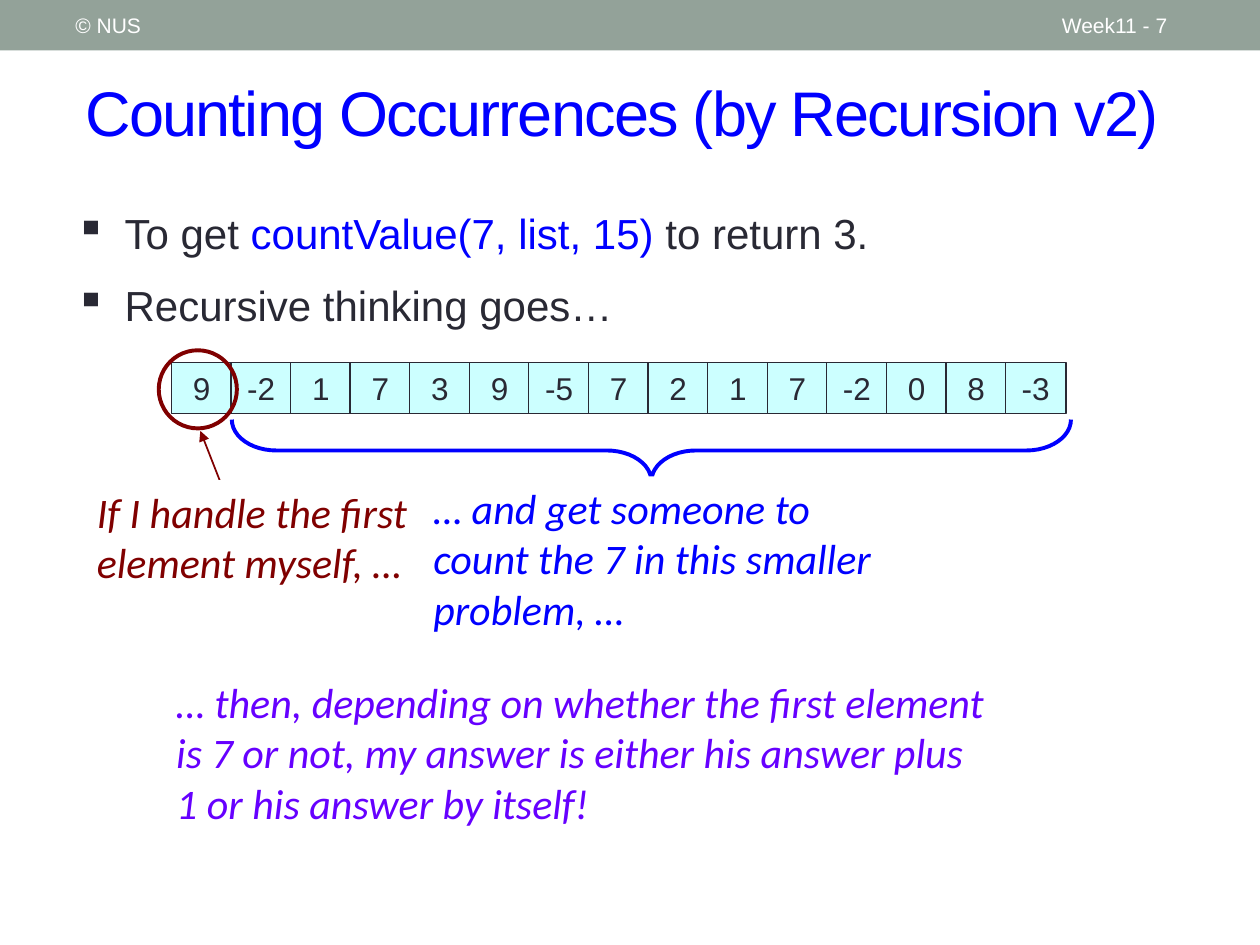
from dataclasses import dataclass

from lxml import etree
from pptx import Presentation
from pptx.dml.color import RGBColor
from pptx.enum.shapes import MSO_CONNECTOR, MSO_SHAPE
from pptx.enum.text import MSO_ANCHOR, PP_ALIGN
from pptx.oxml.ns import qn
from pptx.util import Inches, Pt

RECTANGLE, OVAL, BRACE = MSO_SHAPE.RECTANGLE, MSO_SHAPE.OVAL, MSO_SHAPE.LEFT_BRACE
STRAIGHT = MSO_CONNECTOR.STRAIGHT
TOP, MIDDLE = MSO_ANCHOR.TOP, MSO_ANCHOR.MIDDLE
LEFT, CENTER = PP_ALIGN.LEFT, PP_ALIGN.CENTER
COLUMNS, ROWS = 100, 75
WIDTH, HEIGHT = Inches(10), Inches(7.5)
VALUES = [9, -2, 1, 7, 3, 9, -5, 7, 2, 1, 7, -2, 0, 8, -3]


@dataclass(frozen=True)
class Theme:
    """Colours, fonts and sizes of the slide."""
    band: str = "93A299"
    paper: str = "FFFFFF"
    ink: str = "292934"
    blue: str = "0000FF"
    maroon: str = "800000"
    violet: str = "6600FF"
    cell: str = "CCFFFF"
    sans: str = "Arial"
    hand: str = "Calibri"
    title: int = 36
    body: int = 24
    value: int = 18
    small: int = 12
    thin: float = 0.75
    arrow: float = 1
    thick: float = 2.25


THEME = Theme()


@dataclass(frozen=True)
class Box:
    """A region measured in grid columns and rows."""
    left: float
    top: float
    width: float
    height: float

    def within(self, left, top, width, height):
        """Return a box offset from this one's corner."""
        return Box(self.left + left, self.top + top, width, height)

    def place(self):
        """Return left, top, width and height as slide lengths."""
        across, down = WIDTH / COLUMNS, HEIGHT / ROWS
        return (round(self.left * across), round(self.top * down),
                round(self.width * across), round(self.height * down))


def add_outline(slide, box, kind, fill=None, line=None, weight=THEME.thin):
    """Add a preset shape with the given fill and line."""
    shape = slide.shapes.add_shape(kind, *box.place())
    shape.shadow.inherit = False
    if fill:
        shape.fill.solid()
        shape.fill.fore_color.rgb = RGBColor.from_string(fill)
    else:
        shape.fill.background()
    if line:
        shape.line.color.rgb = RGBColor.from_string(line)
        shape.line.width = Pt(weight)
    else:
        shape.line.fill.background()
    return shape


def write(frame, paragraphs, *, size, color, font=THEME.sans, italic=False, align=LEFT,
          anchor=TOP, wrap=True, bullet=None, gap=0, spacing=None):
    """Fill a frame with paragraphs, each a list of (text, colour or None) runs."""
    frame.word_wrap = wrap
    frame.vertical_anchor = anchor
    for index, pieces in enumerate(paragraphs):
        paragraph = frame.add_paragraph() if index else frame.paragraphs[0]
        paragraph.alignment = align
        if index:
            paragraph.space_before = Pt(gap)
        if bullet:
            properties = paragraph._p.get_or_add_pPr()
            properties.set("marL", str(Inches(0.39)))
            properties.set("indent", str(-Inches(0.39)))
            etree.SubElement(properties, qn("a:buChar"), char=bullet)
        for text, accent in pieces:
            run = paragraph.add_run()
            run.text = text
            run.font.name, run.font.size, run.font.italic = font, Pt(size), italic
            run.font.color.rgb = RGBColor.from_string(accent or color)
            if spacing:
                run._r.get_or_add_rPr().set("spc", str(spacing))


def add_text(slide, box, paragraphs, **style):
    """Add a text box and write into it."""
    write(slide.shapes.add_textbox(*box.place()).text_frame, paragraphs, **style)


def add_remark(slide, box, text, color):
    """Add an italic remark on a white panel."""
    panel = add_outline(slide, box, RECTANGLE, fill=THEME.paper)
    write(panel.text_frame, [[(text, None)]], size=THEME.body, color=color,
          font=THEME.hand, italic=True)


def add_arrow(slide, start, end, color):
    """Add a straight arrow between two grid points."""
    begin, finish = (Box(*point, 0, 0).place()[:2] for point in (start, end))
    arrow = slide.shapes.add_connector(STRAIGHT, *begin, *finish)
    arrow.line.color.rgb = RGBColor.from_string(color)
    arrow.line.width = Pt(THEME.arrow)
    etree.SubElement(arrow.line._get_or_add_ln(), qn("a:tailEnd"), type="triangle")
    etree.SubElement(arrow._element.spPr, qn("a:effectLst"))


def add_header(slide, box):
    """Draw the top band with the copyright and page labels."""
    add_outline(slide, box, RECTANGLE, fill=THEME.band)
    for text, left, width in (("Week11 - 7", 83.3, 11.7), ("© NUS", 5, 31.7)):
        add_text(slide, box.within(left, 0.2, width, 3.6), [[(text, None)]],
                 size=THEME.small, color=THEME.paper, anchor=MIDDLE)


def add_title(slide, box):
    """Write the slide title."""
    add_text(slide, box, [[("Counting Occurrences (by Recursion v2)", None)]],
             size=THEME.title, color=THEME.blue, anchor=MIDDLE, spacing=-100)


def add_goals(slide, box):
    """Write the bulleted goal and lead-in."""
    goals = [
        [("To get ", None), ("countValue(7, list, 15)", THEME.blue), (" to return 3.", None)],
        [("Recursive thinking goes…", None)],
    ]
    add_text(slide, box, goals, size=THEME.body, color=THEME.ink, bullet="▪", gap=12)


def add_list(slide, box):
    """Draw the list values as a row of cells."""
    cell_width = 4.8
    step = (box.width - cell_width) / (len(VALUES) - 1)
    for index, value in enumerate(VALUES):
        cell = add_outline(slide, box.within(index * step, 0, cell_width, box.height),
                           RECTANGLE, fill=THEME.cell, line=THEME.ink)
        write(cell.text_frame, [[(str(value), None)]], size=THEME.value, color=THEME.ink,
              align=CENTER, anchor=MIDDLE, wrap=False)


def add_first_element(slide, box):
    """Circle the first element and explain who handles it."""
    add_arrow(slide, (box.left + 11.2, box.top + 11.5), (box.left + 9.2, box.top + 6.4),
              THEME.maroon)
    add_remark(slide, box.within(0, 10.3, box.width, 9.1),
               "If I handle the first element myself, …", THEME.maroon)
    add_outline(slide, box.within(5.9, 0, 6.2, 6.2), OVAL, line=THEME.maroon,
                weight=THEME.thick)


def add_smaller_problem(slide, box):
    """Brace the remaining elements and explain who counts them."""
    depth = 4.9
    brace = add_outline(slide, box.within((box.width - depth) / 2, (depth - box.width) / 2,
                                          depth, box.width),
                        BRACE, line=THEME.blue, weight=THEME.thick)
    brace.rotation = 270
    brace.adjustments[0], brace.adjustments[1] = 0.72, 0.5
    add_remark(slide, box.within(15, 4.5, 39.2, 13.1),
               "… and get someone to count the 7 in this smaller problem, …", THEME.blue)


def add_conclusion(slide, box):
    """State how the two answers combine."""
    add_remark(slide, box, "… then, depending on whether the first element is 7 or not, "
               "my answer is either his answer plus 1 or his answer by itself!", THEME.violet)


def main():
    """Build the slide and save it."""
    deck = Presentation()
    deck.slide_width, deck.slide_height = WIDTH, HEIGHT
    slide = deck.slides.add_slide(deck.slide_layouts[6])
    add_header(slide, Box(0, 0, COLUMNS, 4))
    add_title(slide, Box(5.8, 4.2, 91.7, 9.2))
    add_goals(slide, Box(5, 16, 78.5, 10.8))
    add_list(slide, Box(13.6, 28.8, 71, 4))
    add_first_element(slide, Box(6.7, 27.8, 27.9, 19.4))
    add_smaller_problem(slide, Box(18.4, 33.3, 66.6, 17.6))
    add_conclusion(slide, Box(13, 53.2, 66.4, 13.1))
    deck.save("out.pptx")


if __name__ == "__main__":
    main()
